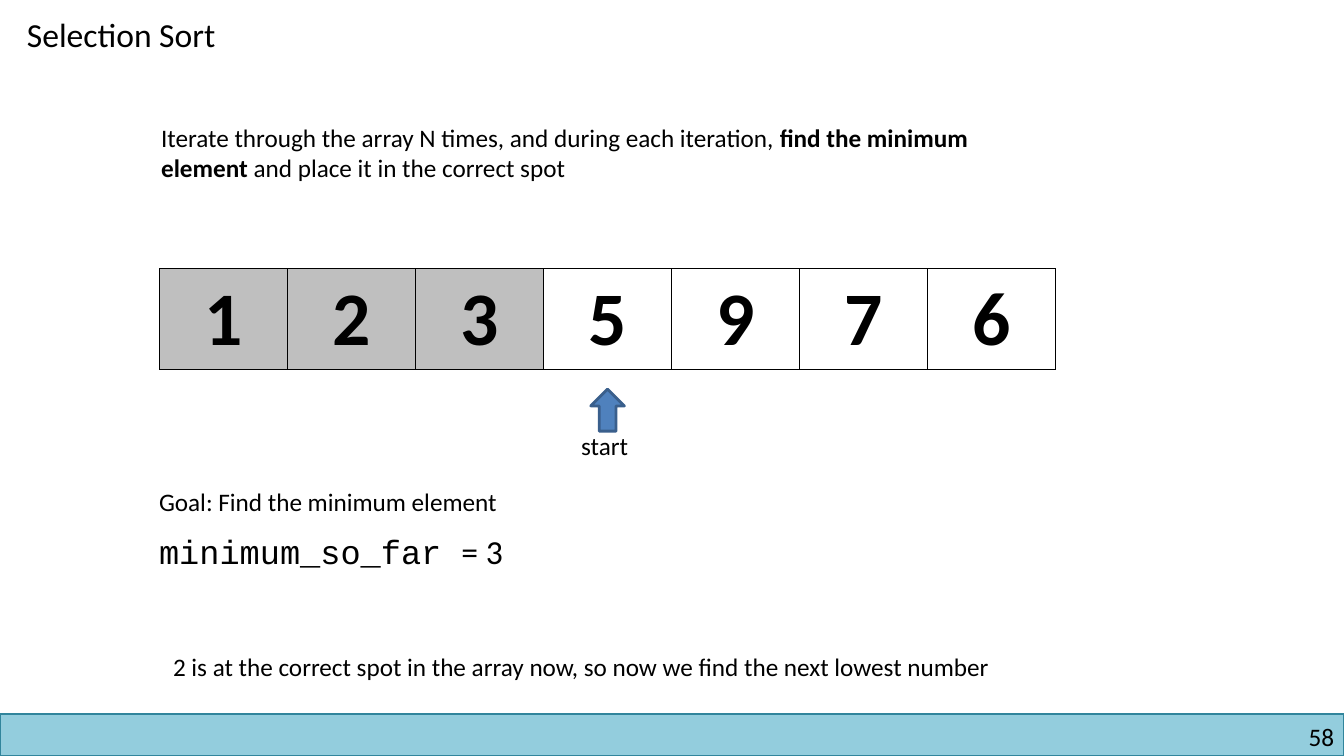
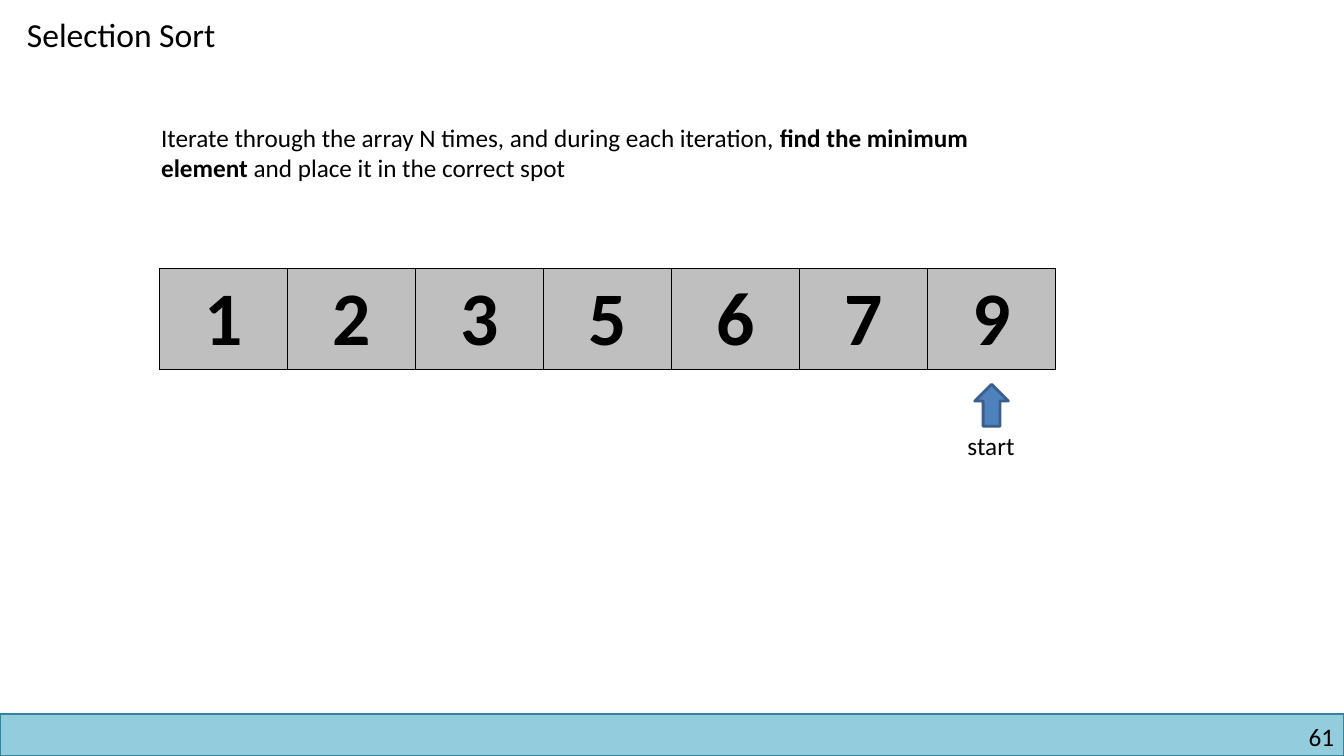
from lxml import etree
from pptx import Presentation
from pptx.dml.color import RGBColor
from pptx.enum.shapes import MSO_SHAPE
from pptx.enum.text import MSO_ANCHOR, MSO_AUTO_SIZE, PP_ALIGN
from pptx.oxml.ns import qn
from pptx.util import Pt

RECTANGLE, UP_ARROW = MSO_SHAPE.RECTANGLE, MSO_SHAPE.UP_ARROW
LEFT, CENTER, RIGHT = PP_ALIGN.LEFT, PP_ALIGN.CENTER, PP_ALIGN.RIGHT
TOP, MIDDLE = MSO_ANCHOR.TOP, MSO_ANCHOR.MIDDLE

COLORS = {
    "text": "000000",
    "band": "93CDDD",
    "band_line": "31859C",
    "sorted": "BFBFBF",
    "unsorted": "FFFFFF",
    "arrow": "4F81BD",
    "arrow_line": "3A5F8C",
}
TEXT = {"name": "Calibri", "size": Pt(18), "bold": False}
STRONG = {**TEXT, "bold": True}
LARGE = {**TEXT, "size": Pt(24)}
CODE = {**LARGE, "name": "Courier New"}
NUMBER = {**STRONG, "size": Pt(54)}

TABLE_LEFT, TABLE_TOP, TABLE_WIDTH, TABLE_HEIGHT = 114, 192, 640, 72
ARROW_WIDTH, ARROW_HEIGHT = 24, 30

INTRO = [
    ("Iterate through the array N times, and during each iteration, ", TEXT),
    ("find the minimum element", STRONG),
    (" and place it in the correct spot", TEXT),
]
PAGES = [
    {
        "number": "58",
        "values": [1, 2, 3, 5, 9, 7, 6],
        "sorted_count": 3,
        "start": 3,
        "arrow_top": 278,
        "label_left": 408,
        "notes": [
            ((106.5, 343.5, 287, 29), [("Goal: Find the minimum element", TEXT)]),
            ((106.5, 376, 270, 36), [("minimum_so_far ", CODE), ("= 3", LARGE)]),
            ((116.5, 462, 644, 29),
             [("2 is at the correct spot in the array now, so now we find the next lowest number", TEXT)]),
        ],
    },
    {
        "number": "61",
        "values": [1, 2, 3, 5, 6, 7, 9],
        "sorted_count": 7,
        "start": 6,
        "arrow_top": 274.5,
        "label_left": 684,
        "notes": [],
    },
]


def write(frame, spans, align=LEFT):
    para = frame.paragraphs[0]
    para.alignment = align
    for text, style in spans:
        span = para.add_run()
        span.text = text
        for name, value in style.items():
            setattr(span.font, name, value)
        span.font.color.rgb = RGBColor.from_string(COLORS["text"])


def add_text(page, place, spans, align=LEFT):
    box = page.shapes.add_textbox(*map(Pt, place))
    box.text_frame.word_wrap = True
    write(box.text_frame, spans, align)
    return box


deck = Presentation()
deck.slide_width, deck.slide_height = Pt(960), Pt(540)
title_only = deck.slide_layouts[5]

for content in PAGES:
    page = deck.slides.add_slide(title_only)
    column_width = TABLE_WIDTH / len(content["values"])
    start_center = TABLE_LEFT + (content["start"] + 0.5) * column_width
    arrow_place = (start_center - ARROW_WIDTH / 2, content["arrow_top"], ARROW_WIDTH, ARROW_HEIGHT)

    title = page.shapes.title
    title.left, title.top, title.width, title.height = map(Pt, (12, 6, 166, 36))
    title.text_frame.auto_size = MSO_AUTO_SIZE.NONE
    title.text_frame.vertical_anchor = TOP
    write(title.text_frame, [("Selection Sort", LARGE)])

    for kind, place, color, line_width in [
        (RECTANGLE, (0, 510, 960, 30), "band", 1),
        (UP_ARROW, arrow_place, "arrow", 2),
    ]:
        shape = page.shapes.add_shape(kind, *map(Pt, place))
        shape.shadow.inherit = False
        shape.fill.solid()
        shape.fill.fore_color.rgb = RGBColor.from_string(COLORS[color])
        shape.line.color.rgb = RGBColor.from_string(COLORS[color + "_line"])
        shape.line.width = Pt(line_width)

    number_box = add_text(page, (732, 515, 221, 22), [(content["number"], TEXT)], RIGHT)
    for side in ("left", "right", "top", "bottom"):
        setattr(number_box.text_frame, "margin_" + side, 0)

    add_text(page, (108, 84, 636, 51), INTRO)
    add_text(page, (content["label_left"], 304, 52, 29), [("start", TEXT)])
    for place, spans in content["notes"]:
        add_text(page, place, spans)

    table_place = (TABLE_LEFT, TABLE_TOP, TABLE_WIDTH, TABLE_HEIGHT)
    table = page.shapes.add_table(1, len(content["values"]), *map(Pt, table_place)).table
    table.first_row = False
    table.horz_banding = False
    for index, value in enumerate(content["values"]):
        table.columns[index].width = Pt(column_width)
        cell = table.cell(0, index)
        cell.vertical_anchor = MIDDLE
        write(cell.text_frame, [(str(value), NUMBER)], CENTER)
        properties = cell._tc.get_or_add_tcPr()
        for edge in ("a:lnL", "a:lnR", "a:lnT", "a:lnB"):
            border = etree.SubElement(properties, qn(edge), w=str(Pt(1)))
            fill = etree.SubElement(border, qn("a:solidFill"))
            etree.SubElement(fill, qn("a:srgbClr"), val=COLORS["text"])
        state = "sorted" if index < content["sorted_count"] else "unsorted"
        cell.fill.solid()
        cell.fill.fore_color.rgb = RGBColor.from_string(COLORS[state])

deck.save("out.pptx")
